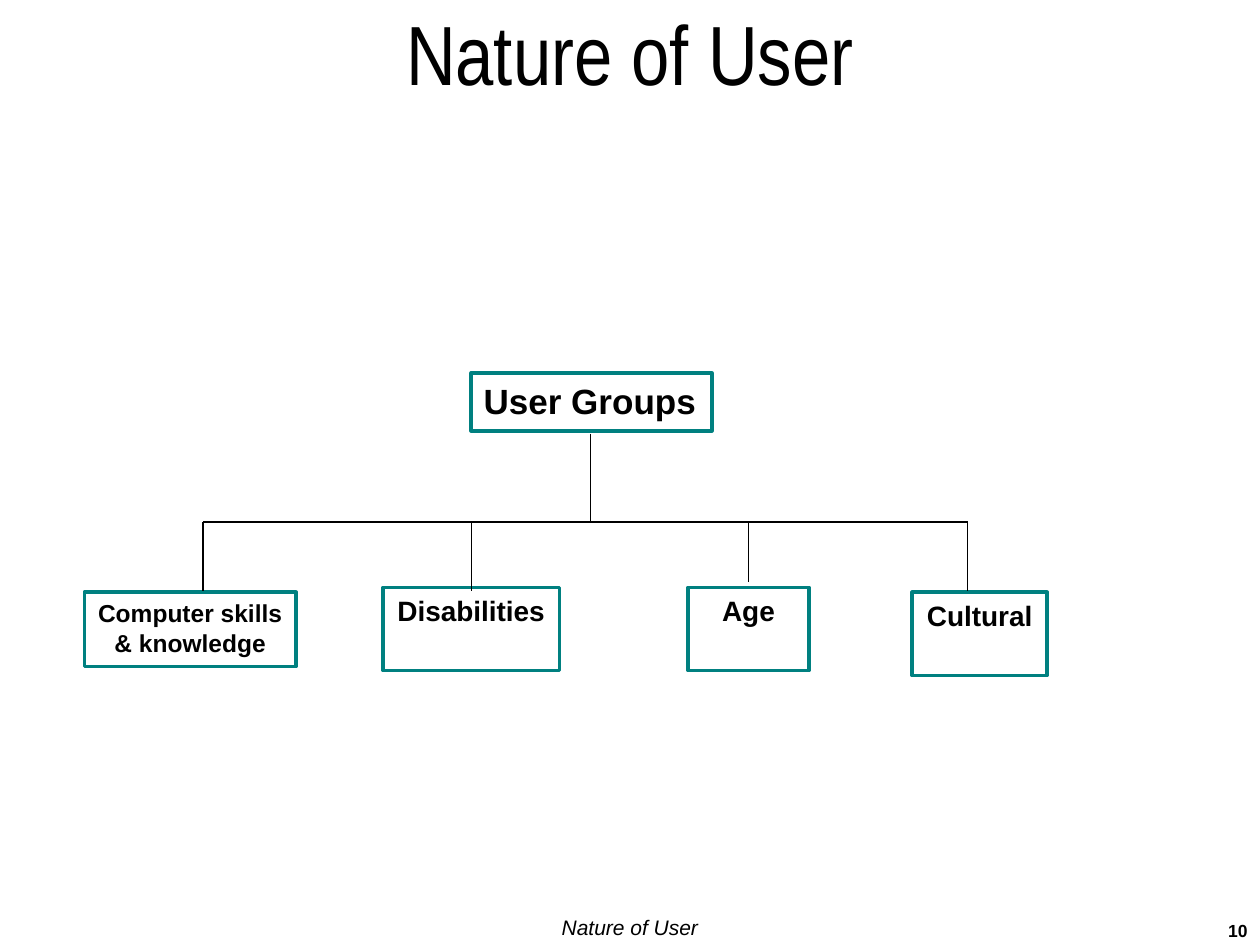
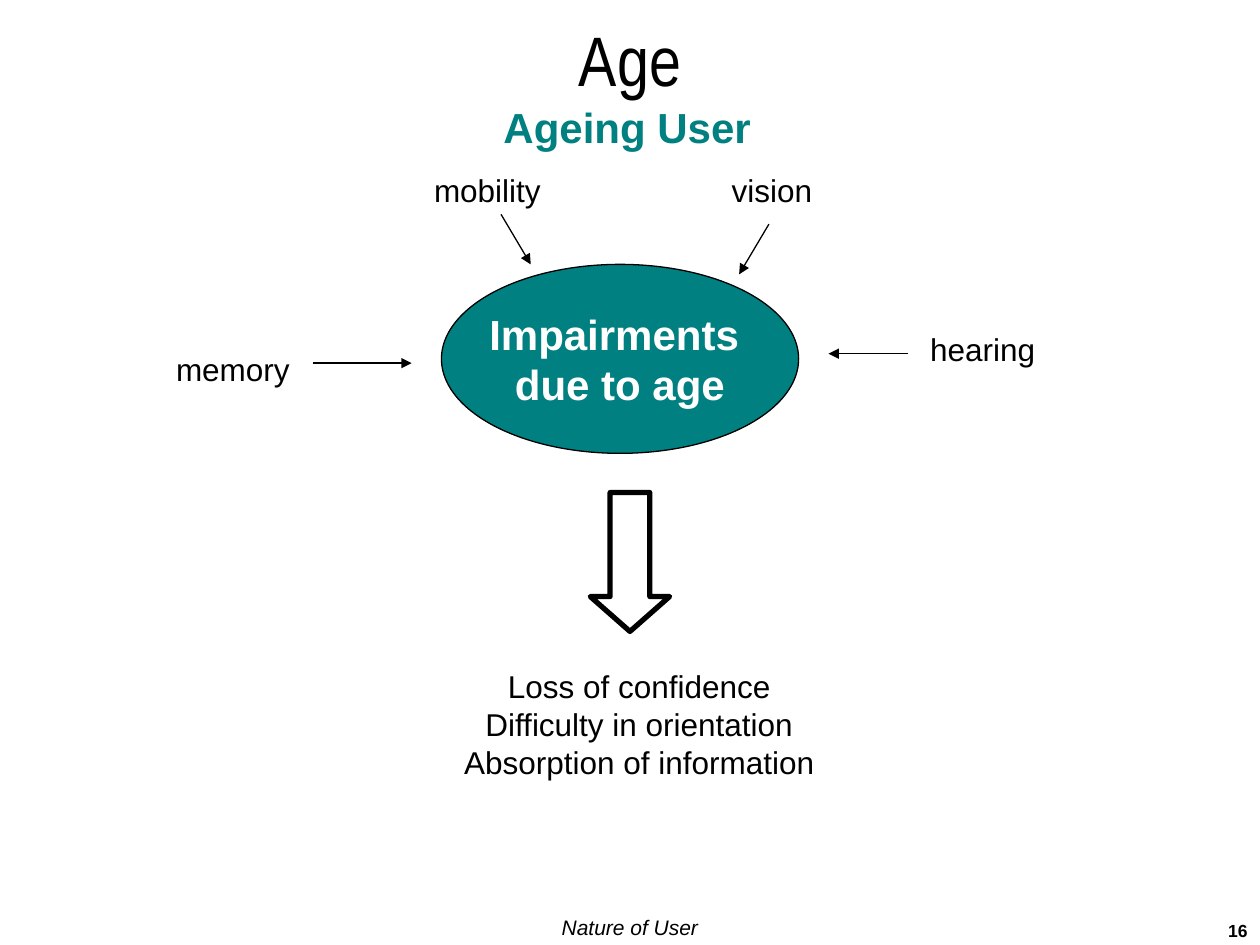
"""Build two slides on the nature of users: user groups and ageing users."""
from dataclasses import dataclass

from lxml import etree
from pptx import Presentation
from pptx import util as u
from pptx.dml.color import RGBColor
from pptx.enum import shapes, text
from pptx.oxml import ns

CENTER, LEFT, RIGHT = text.PP_ALIGN.CENTER, text.PP_ALIGN.LEFT, text.PP_ALIGN.RIGHT
TOP, MIDDLE = text.MSO_ANCHOR.TOP, text.MSO_ANCHOR.MIDDLE


@dataclass(frozen=True)
class Theme:
    ink: RGBColor = RGBColor(0, 0, 0)
    paper: RGBColor = RGBColor(255, 255, 255)
    teal: RGBColor = RGBColor(0, 128, 128)
    body_font: str = "Arial"
    title_font: str = "Arial Narrow"
    title: int = 48
    title_small: int = 40
    heading: int = 24
    root: int = 20
    label: int = 18
    group: int = 16
    group_small: int = 14
    footer: int = 12
    number: int = 10
    thin: float = 0.75
    border: float = 2
    thick: float = 3


class Deck:
    def __init__(self, theme):
        self.theme = theme
        self.show = Presentation()
        self.show.slide_width, self.show.slide_height = u.Cm(25.4), u.Cm(19.05)
        self.slide = None

    def start(self, title, size, top, number):
        self.slide = self.show.slides.add_slide(self.show.slide_layouts[5])
        self.slide.background.fill.solid()
        self.slide.background.fill.fore_color.rgb = self.theme.paper
        heading = self.slide.shapes.title
        heading.left, heading.top = u.Cm(0), u.Cm(top)
        heading.width, heading.height = u.Cm(25.4), u.Cm(2.1)
        self.wording(heading, [title], size, font=self.theme.title_font, anchor=MIDDLE, wrap=True)
        self.label((0, 18.31, 25.4, 0.76), ["Nature of User"], self.theme.footer,
                   italic=True, wrap=True)
        self.label((20.12, 18.42, 5.28, 0.64), [number], self.theme.number,
                   bold=True, align=RIGHT, wrap=True)

    def wording(self, holder, lines, size, color=None, font=None, bold=False, italic=False,
                align=CENTER, anchor=TOP, wrap=False):
        frame = holder.text_frame
        frame.auto_size = text.MSO_AUTO_SIZE.NONE
        frame.word_wrap = wrap
        frame.vertical_anchor = anchor
        for index, line in enumerate(lines):
            paragraph = frame.add_paragraph() if index else frame.paragraphs[0]
            paragraph.alignment = align
            run = paragraph.add_run()
            run.text = line
            run.font.size = u.Pt(size)
            run.font.name = font or self.theme.body_font
            run.font.bold, run.font.italic = bold, italic
            run.font.color.rgb = color or self.theme.ink

    def label(self, place, lines, size, **style):
        box = self.slide.shapes.add_textbox(*map(u.Cm, place))
        self.wording(box, lines, size, **style)

    def shape(self, kind, place, line, width, fill=None):
        figure = self.slide.shapes.add_shape(kind, *map(u.Cm, place))
        figure.shadow.inherit = False
        figure.line.color.rgb = line
        figure.line.width = u.Pt(width)
        if fill is None:
            figure.fill.background()
        else:
            figure.fill.solid()
            figure.fill.fore_color.rgb = fill
        return figure

    def group(self, place, lines, size, align=CENTER):
        frame = self.shape(shapes.MSO_SHAPE.RECTANGLE, place, self.theme.teal, self.theme.border)
        self.wording(frame, lines, size, bold=True, align=align)

    def line(self, start, end, arrow=False):
        link = self.slide.shapes.add_connector(
            shapes.MSO_CONNECTOR.STRAIGHT, *map(u.Cm, start + end))
        link.line.color.rgb = self.theme.ink
        link.line.width = u.Pt(self.theme.thin)
        properties = link.element.spPr
        if arrow:
            etree.SubElement(properties.find(ns.qn("a:ln")), ns.qn("a:tailEnd"), type="triangle")
        etree.SubElement(properties, ns.qn("a:effectLst"))


def user_groups(deck):
    theme = deck.theme
    deck.start("Nature of User", theme.title, 0, "10")
    deck.group((9.5, 7.52, 4.85, 1.17), ["User Groups"], theme.root, LEFT)
    bar = 10.52
    branches = [
        (4.09, 11.91, (1.7, 11.94, 4.27, 1.5), ["Computer skills", "& knowledge"],
         theme.group_small),
        (9.5, 11.91, (7.72, 11.84, 3.56, 1.68), ["Disabilities"], theme.group),
        (15.09, 11.73, (13.87, 11.84, 2.44, 1.68), ["Age"], theme.group),
        (19.51, 11.91, (18.39, 11.94, 2.72, 1.68), ["Cultural"], theme.group),
    ]
    deck.line((11.91, 8.74), (11.91, bar))
    deck.line((branches[0][0], bar), (branches[-1][0], bar))
    for drop, bottom, place, lines, size in branches:
        deck.group(place, lines, size)
        deck.line((drop, bar), (drop, bottom))


def ageing_user(deck):
    theme = deck.theme
    deck.start("Age", theme.title_small, 0.13, "16")
    deck.label((9.9, 1.93, 5.49, 1.27), ["Ageing User"], theme.heading,
               color=theme.teal, bold=True, align=LEFT)
    impairments = deck.shape(shapes.MSO_SHAPE.OVAL, (8.9, 5.33, 7.2, 3.81),
                             theme.ink, theme.thin, theme.teal)
    deck.wording(impairments, ["Impairments ", "due to age"], theme.heading,
                 color=theme.paper, bold=True, anchor=MIDDLE)
    causes = [
        ("memory", (3.3, 6.93, 2.79, 1.02), (6.3, 7.32), (8.3, 7.32)),
        ("mobility", (8.5, 3.33, 2.67, 1.02), (10.1, 4.32), (10.7, 5.33)),
        ("vision", (14.5, 3.33, 2.13, 1.02), (15.5, 4.52), (14.9, 5.53)),
        ("hearing", (18.5, 6.53, 2.62, 1.02), (18.3, 7.13), (16.7, 7.13)),
    ]
    for cause, place, start, end in causes:
        deck.label(place, [cause], theme.label, align=LEFT)
        deck.line(start, end, arrow=True)
    outcome = deck.shape(shapes.MSO_SHAPE.DOWN_ARROW, (11.9, 9.93, 1.6, 2.8),
                         theme.ink, theme.thick, theme.paper)
    outcome.adjustments[0], outcome.adjustments[1] = 0.5, 0.44
    deck.label((9.1, 13.33, 7.57, 2.54),
               ["Loss of confidence", "Difficulty in orientation", "Absorption of information"],
               theme.label)


def main():
    deck = Deck(Theme())
    user_groups(deck)
    ageing_user(deck)
    deck.show.save("out.pptx")


if __name__ == "__main__":
    main()
